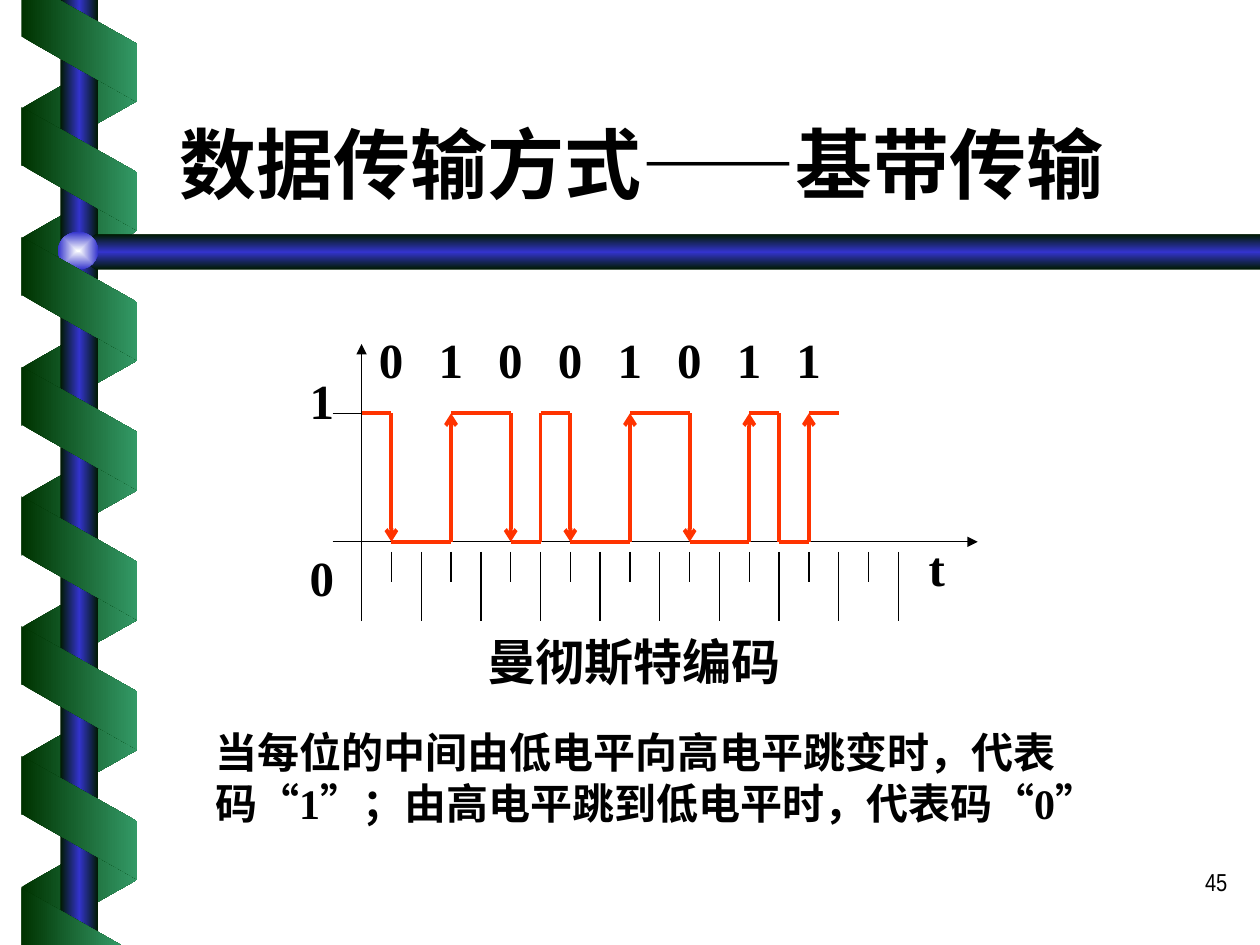
from dataclasses import dataclass
from itertools import groupby

from lxml import etree
from pptx import Presentation
from pptx.dml.color import RGBColor
from pptx.enum.shapes import MSO_CONNECTOR, MSO_SHAPE
from pptx.enum.text import MSO_ANCHOR, PP_ALIGN
from pptx.oxml.ns import qn
from pptx.util import Inches, Pt

STRAIGHT = MSO_CONNECTOR.STRAIGHT
RECTANGLE, OVAL = MSO_SHAPE.RECTANGLE, MSO_SHAPE.OVAL
LEFT, CENTER, RIGHT = PP_ALIGN.LEFT, PP_ALIGN.CENTER, PP_ALIGN.RIGHT
TOP, BOTTOM = MSO_ANCHOR.TOP, MSO_ANCHOR.BOTTOM


@dataclass(frozen=True)
class Theme:
    ink: str = "000000"
    signal: str = "FF3300"
    ribbon: tuple = ((0, "003300"), (100, "339966"))
    bar: tuple = ((0, "001A00"), (50, "3333CC"), (100, "001A00"))
    ball: tuple = ((0, "FEFFFF"), (100, "3333CC"))
    sans: str = "Arial Narrow"
    serif: str = "Times New Roman"
    title: int = 44
    label: int = 28
    body: int = 24
    number: int = 14
    thin: float = 0.75
    thick: float = 2.25


THEME = Theme()


def paint(shape, stops, angle=0, radial=False):
    shape.shadow.inherit = False
    shape.line.fill.background()
    shape.fill.gradient()
    grad = shape._element.spPr.find(qn("a:gradFill"))
    for child in list(grad):
        grad.remove(child)
    gs_list = etree.SubElement(grad, qn("a:gsLst"))
    for pos, color in stops:
        gs = etree.SubElement(gs_list, qn("a:gs"), pos=str(pos * 1000))
        etree.SubElement(gs, qn("a:srgbClr"), val=color)
    if radial:
        center = etree.SubElement(grad, qn("a:path"), path="rect")
        etree.SubElement(center, qn("a:fillToRect"),
                         l="50000", t="50000", r="50000", b="50000")
    else:
        etree.SubElement(grad, qn("a:lin"), ang=str(angle * 60000), scaled="0")


def add_polygon(s, points, stops, angle=0):
    start, *rest = [(Inches(x), Inches(y)) for x, y in points]
    builder = s.shapes.build_freeform(*start)
    builder.add_line_segments(rest, close=True)
    paint(builder.convert_to_shape(), stops, angle)


def add_text(s, box, text, size, font=THEME.serif, bold=True,
             align=LEFT, anchor=TOP, inset=(0.1, 0.05)):
    tf = s.shapes.add_textbox(*map(Inches, box)).text_frame
    tf.word_wrap = True
    tf.vertical_anchor = anchor
    tf.margin_left = tf.margin_right = Inches(inset[0])
    tf.margin_top = tf.margin_bottom = Inches(inset[1])
    p = tf.paragraphs[0]
    p.text = text
    p.alignment = align
    p.font.name = font
    p.font.size = Pt(size)
    p.font.bold = bold
    p.font.color.rgb = RGBColor.from_string(THEME.ink)


def add_line(s, start, end, color=THEME.ink, width=THEME.thin, arrow=None):
    line = s.shapes.add_connector(STRAIGHT, *map(Inches, (*start, *end)))
    line.line.color.rgb = RGBColor.from_string(color)
    line.line.width = Pt(width)
    spPr = line._element.spPr
    if arrow:
        etree.SubElement(spPr.find(qn("a:ln")), qn("a:tailEnd"), type=arrow)
    etree.SubElement(spPr, qn("a:effectLst"))


def draw_spiral(s, box):
    left, top, width, height = box
    right, bottom = left + width, top + height
    pitch, slant, band = 1.03, 0.52, 0.46

    for i in range(7):
        y = top + 0.34 + i * pitch
        add_polygon(s, [(left, y + slant), (right, y),
                        (right, y + band), (left, y + slant + band)], THEME.ribbon)

    pole = s.shapes.add_shape(RECTANGLE, Inches(left + 0.31), Inches(top),
                              Inches(0.3), Inches(height))
    paint(pole, THEME.bar)
    draw_crossbar(s, (0.6, 1.86, 9.4, 0.28))

    for i in range(6):
        y = top + 0.85 + i * pitch
        add_polygon(s, [(left, y), (right, y + slant),
                        (right, y + slant + band), (left, y + band)], THEME.ribbon)
    add_polygon(s, [(left, top), (left, top + 0.29), (right, top + 0.81),
                    (right, top + 0.35), (left + 0.3, top)], THEME.ribbon)
    add_polygon(s, [(left, bottom - 0.45), (left + 0.79, bottom),
                    (left, bottom)], THEME.ribbon)


def draw_crossbar(s, box):
    left, top, width, height = box
    right, bottom = left + width, top + height
    add_polygon(s, [(right, top), (left + 0.16, top), (left, top + height / 2),
                    (left + 0.16, bottom), (right, bottom)], THEME.bar, 90)
    ball = s.shapes.add_shape(OVAL, Inches(left - 0.14), Inches(top - 0.02),
                              Inches(0.32), Inches(0.3))
    paint(ball, THEME.ball, radial=True)


def draw_waveform(s, box, bits, cells, caption):
    left, high, width, height = box
    low = high + height
    half = width / cells / 2
    tick_top, tick_end = low + 0.08, low + 0.63

    add_line(s, (left, tick_end), (left, high - 0.55), arrow="triangle")
    add_line(s, (left - 0.23, low), (left + 4.89, low), arrow="triangle")
    add_line(s, (left - 0.23, high), (left, high))
    for k in range(1, 2 * cells + 1):
        x = left + k * half
        add_line(s, (x, tick_top), (x, low + 0.32 if k % 2 else tick_end))

    labels = [("1", left - 0.55, high - 0.39), ("0", left - 0.55, low),
              ("t", left + 4.33, low - 0.08)]
    labels += [(bit, left + 2 * i * half, high - 0.71) for i, bit in enumerate(bits)]
    for text, x, y in labels:
        add_text(s, (x, y, 0.47, 0.57), text, THEME.label, align=CENTER)

    levels = [y for bit in bits for y in ((high, low) if bit == "0" else (low, high))]
    k, previous = 0, None
    for y, run in groupby(levels):
        x = left + k * half
        if previous is not None:
            add_line(s, (x, previous), (x, y), THEME.signal, THEME.thick,
                     "arrow" if k % 2 else None)
        k += len(list(run))
        add_line(s, (x, y), (left + k * half, y), THEME.signal, THEME.thick)
        previous = y

    add_text(s, (left - 0.55, low + 0.71, 5.42, 0.42), caption, THEME.label,
             align=CENTER, inset=(0, 0))


def main():
    prs = Presentation()
    prs.slide_width, prs.slide_height = Inches(10), Inches(7.5)
    s = prs.slides.add_slide(prs.slide_layouts[6])
    draw_spiral(s, (0.17, 0, 0.92, 7.5))
    add_text(s, (7.76, 6.83, 2.08, 0.5), "45", THEME.number, THEME.sans,
             bold=False, align=RIGHT)
    add_text(s, (1.33, 0.46, 8.5, 1.25), "数据传输方式——基带传输",
             THEME.title, THEME.sans, anchor=BOTTOM)
    draw_waveform(s, (2.87, 3.28, 4.26, 1.02), "01001011", 9, "曼彻斯特编码")
    add_text(s, (1.61, 5.72, 7.33, 0.9),
             "当每位的中间由低电平向高电平跳变时，代表码“1”；由高电平跳到低电平时，代表码“0”",
             THEME.body)
    prs.save("out.pptx")


if __name__ == "__main__":
    main()
